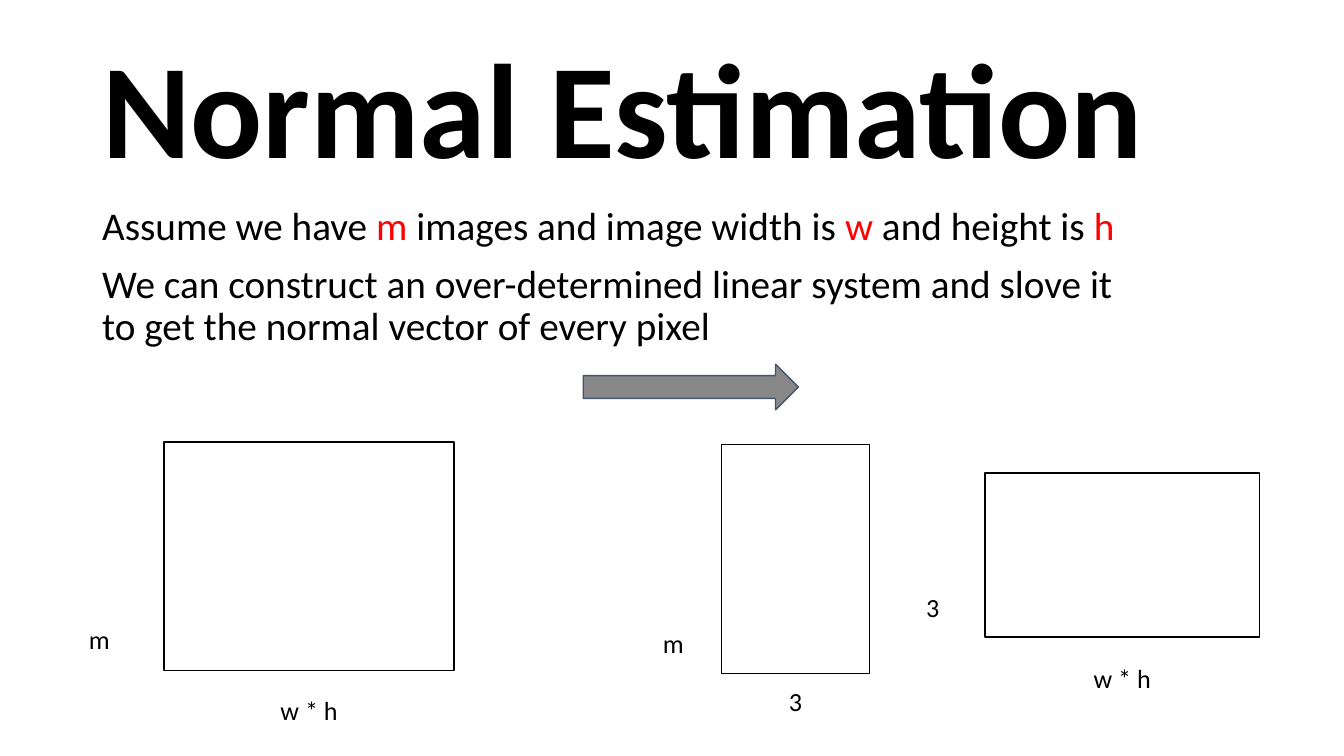
from pptx import Presentation
from pptx.dml.color import RGBColor
from pptx.enum import shapes, text
from pptx.util import Inches, Pt

COLORS = {"ink": "000000", "accent": "FF0000", "paper": "FFFFFF",
          "arrow": "888888", "arrow_line": "44546A"}
FONT = "Calibri"


def rgb(name):
    """Return the named colour."""
    return RGBColor.from_string(COLORS[name])


def add_run(p, words, size, color="ink", bold=False):
    """Append a formatted run to a paragraph."""
    r = p.add_run()
    r.text = words
    r.font.name, r.font.size, r.font.bold = FONT, Pt(size), bold
    r.font.color.rgb = rgb(color)


def add_box(s, box, inset, wrap=True):
    """Add a text box and return its text frame."""
    tf = s.shapes.add_textbox(*map(Inches, box)).text_frame
    tf.word_wrap = wrap
    tf.margin_left = tf.margin_right = Inches(inset[0])
    tf.margin_top = tf.margin_bottom = Inches(inset[1])
    return tf


def add_shape(s, kind, box, fill, line):
    """Add a flat preset shape with a thin outline."""
    sp = s.shapes.add_shape(kind, *map(Inches, box))
    sp.shadow.inherit = False
    sp.fill.solid()
    sp.fill.fore_color.rgb = rgb(fill)
    sp.line.color.rgb = rgb(line)
    sp.line.width = Pt(0.75)


def add_title(s, box, words):
    """Place the slide title."""
    tf = add_box(s, box, (0.07, 0.04))
    tf.vertical_anchor = text.MSO_ANCHOR.MIDDLE
    p = tf.paragraphs[0]
    p.line_spacing = 0.9
    add_run(p, words, 72, bold=True)


def add_body(s, box, paragraphs):
    """Place body paragraphs made of (words, colour) pieces."""
    tf = add_box(s, box, (0.07, 0.04))
    for i, pieces in enumerate(paragraphs):
        p = tf.add_paragraph() if i else tf.paragraphs[0]
        p.line_spacing = 0.9
        p.space_before = Pt(8 if i else 0)
        for words, color in pieces:
            add_run(p, words, 21, color)


def add_label(s, box, words):
    """Place a centred dimension label."""
    tf = add_box(s, box, (0.1, 0.1), wrap=False)
    p = tf.paragraphs[0]
    p.alignment = text.PP_ALIGN.CENTER
    add_run(p, words, 14)


def add_matrix(s, box, rows, cols, rows_at, cols_at):
    """Draw a matrix with row and column labels offset from its box."""
    left, top, width, height = box
    add_shape(s, shapes.MSO_SHAPE.RECTANGLE, box, "paper", "ink")
    for words, (dx, dy), w in ((rows, rows_at, 0.84), (cols, cols_at, 0.63)):
        add_label(s, (left + dx - w / 2, top + height + dy, w, 0.44), words)


def main():
    """Build and save the slide."""
    prs = Presentation()
    prs.slide_width = Inches(10)
    prs.slide_height = prs.slide_width * 9 // 16
    s = prs.slides.add_slide(prs.slide_layouts[6])
    add_title(s, (0.69, 0.31, 8.62, 1.09), "Normal Estimation")
    add_body(s, (0.69, 1.5, 7.74, 3.57), [
        [("Assume we have ", "ink"), ("m", "accent"),
         (" images and image width is ", "ink"), ("w", "accent"),
         (" and height is ", "ink"), ("h", "accent")],
        [("We can construct an over-determined linear system and slove it "
          "to get the normal vector of every pixel", "ink")],
    ])
    add_shape(s, shapes.MSO_SHAPE.RIGHT_ARROW, (4.34, 2.71, 1.6, 0.34),
              "arrow", "arrow_line")
    matrices = [
        ((1.22, 3.29, 2.16, 1.7), "m", "w * h", (-0.48, -0.45), (1.08, 0.08)),
        ((5.37, 3.31, 1.1, 1.7), "m", "3", (-0.36, -0.44), (0.55, -0.01)),
        ((7.33, 3.52, 2.04, 1.22), "3", "w * h", (-0.39, -0.44), (1.02, 0.09)),
    ]
    for matrix in matrices:
        add_matrix(s, *matrix)
    prs.save("out.pptx")


if __name__ == "__main__":
    main()
